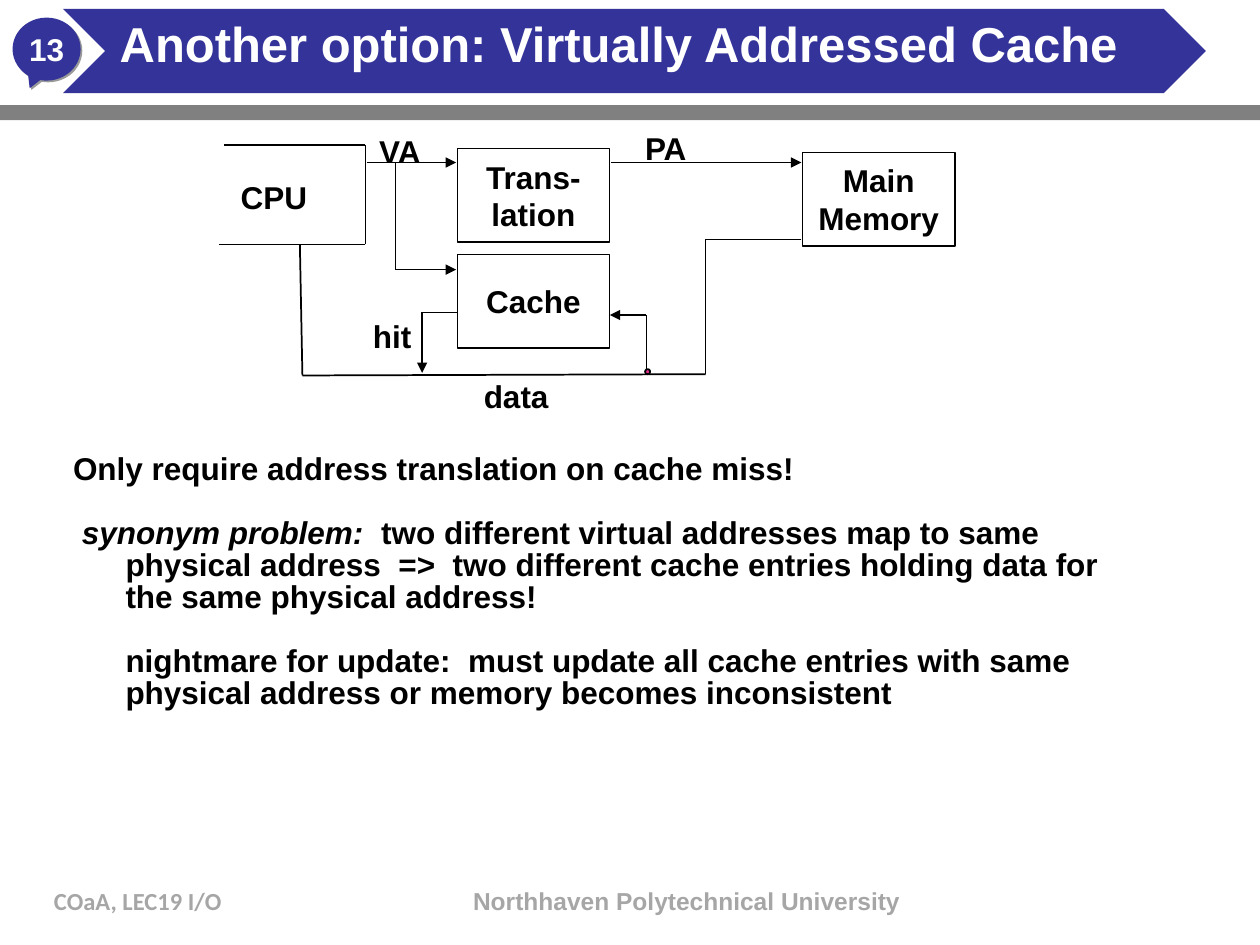
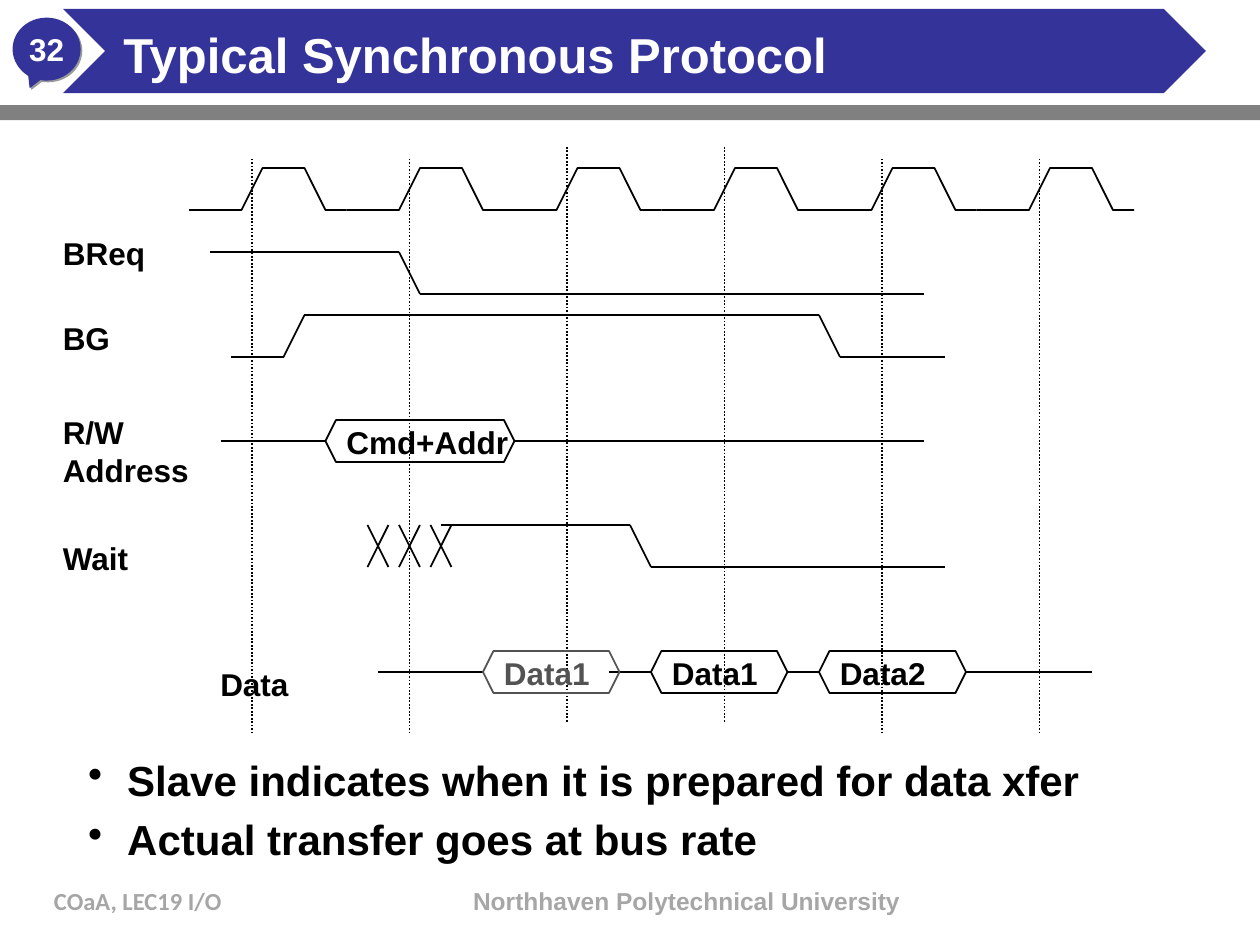
from itertools import pairwise

from lxml import etree
from pptx import Presentation
from pptx import util as u
from pptx.dml.color import RGBColor
from pptx.enum import dml, shapes, text
from pptx.oxml.ns import qn

COLUMNS, ROWS = 120, 90
CELL = u.Inches(10) // COLUMNS
BLUE, GREY, PALE, BLACK, WHITE = "333399", "808080", "A6A6A6", "000000", "FFFFFF"
SHADE, FADED, PINK = "999999", "535353", "E32D91"
LEFT, CENTER = text.PP_ALIGN.LEFT, text.PP_ALIGN.CENTER
TOP, MIDDLE = text.MSO_ANCHOR.TOP, text.MSO_ANCHOR.MIDDLE
KIND = shapes.MSO_SHAPE
color = RGBColor.from_string


def write(shape, place, lines, size=18, ink=BLACK, font="Arial", align=LEFT,
          anchor=TOP, margins=(1.2, 0.6), spacing=None, wrap=False):
    shape.left, shape.top, shape.width, shape.height = [round(n * CELL) for n in place]
    frame = shape.text_frame
    frame.auto_size = text.MSO_AUTO_SIZE.NONE
    frame.word_wrap = wrap
    frame.vertical_anchor = anchor
    frame.margin_left = frame.margin_right = round(margins[0] * CELL)
    frame.margin_top = frame.margin_bottom = round(margins[1] * CELL)
    frame.text = "\n".join(lines)
    for paragraph in frame.paragraphs:
        paragraph.alignment = align
        paragraph.line_spacing = spacing
        for run in paragraph.runs:
            run.font.name, run.font.size, run.font.bold = font, u.Pt(size), True
            run.font.color.rgb = color(ink)
    return frame.paragraphs


def connect(slide, points, arrow=False, dash=None):
    for start, end in pairwise(points):
        ends = [round(n * CELL) for n in (*start, *end)]
        connector = slide.shapes.add_connector(shapes.MSO_CONNECTOR.STRAIGHT, *ends)
        connector.line.color.rgb = color(BLACK)
        connector.line.width = u.Pt(1)
        if dash:
            connector.line.dash_style = dash
        properties = connector.element.spPr
        if arrow and end == points[-1]:
            etree.SubElement(properties.get_or_add_ln(), qn("a:tailEnd"), type="triangle")
        etree.SubElement(properties, qn("a:effectLst"))


presentation = Presentation()
presentation.slide_width = COLUMNS * CELL
presentation.slide_height = ROWS * CELL

bands = [
    (KIND.OVAL_CALLOUT, (1.2, 1.68, 6.48, 6), BLUE),
    (KIND.RECTANGLE, (0, 10, COLUMNS, 1.44), GREY),
    (KIND.CHEVRON, (6, 0.84, 108.84, 8.04), BLUE),
]
footers = [
    ("COaA, LEC19 I/O", 3.96, 24.96, "Calibri", LEFT),
    ("Northhaven Polytechnical University", 41.88, 47.04, "Arial", CENTER),
]
headings = [
    ("13", "Another option: Virtually Addressed Cache", (11.04, 2.04, 104.04, 4.8)),
    ("32", "Typical Synchronous Protocol", (11.4, 3.12, 81.6, 4.8)),
]
for number, heading, place in headings:
    slide = presentation.slides.add_slide(presentation.slide_layouts[5])
    for kind, band_place, fill in bands:
        band = slide.shapes.add_shape(kind, 0, 0, 0, 0)
        band.fill.solid()
        band.fill.fore_color.rgb = color(fill)
        band.line.fill.background()
        band.shadow.inherit = False
        callout = kind == KIND.OVAL_CALLOUT
        write(band, band_place, [number] if callout else [], ink=WHITE,
              align=CENTER, anchor=MIDDLE, margins=(0, 0))
        if callout:
            band.adjustments[0], band.adjustments[1] = -0.248, 0.622
            effects = band.element.spPr.find(qn("a:effectLst"))
            shadow = etree.SubElement(effects, qn("a:outerShdw"), dist=str(u.Pt(1.4)),
                                      dir="2700000", algn="ctr", rotWithShape="0")
            etree.SubElement(shadow, qn("a:srgbClr"), val=SHADE)
    for words, left, width, font, align in footers:
        write(slide.shapes.add_textbox(0, 0, 0, 0), (left, 83.76, width, 6), [words],
              size=14, ink=PALE, font=font, align=align, wrap=True)
    title = slide.shapes.title
    write(title, place, [heading], size=28, ink=WHITE, anchor=MIDDLE,
          margins=(0.36, 0.36), spacing=0.9, wrap=True)
    title.element.getparent().append(title.element)

cache_slide, protocol_slide = presentation.slides

notes = write(cache_slide.shapes.add_textbox(0, 0, 0, 0), (6.12, 42.96, 102, 31), [
    "Only require address translation on cache miss!",
    "synonym problem:",
    "nightmare for update:  must update all cache entries with same "
    "physical address or memory becomes inconsistent",
], margins=(0.84, 0.36), spacing=0.85, wrap=True)
lead = notes[1].runs[0]
lead.font.italic = True
detail = notes[1].add_run()
detail.text = ("  two different virtual addresses map to same physical address  =>  "
               "two different cache entries holding data for the same physical address!")
detail.font.name, detail.font.size, detail.font.bold = "Arial", u.Pt(18), True
detail.font.color.rgb = color(BLACK)
for paragraph, first_line in zip(notes[1:], (-4.15, 0)):
    paragraph.space_before = u.Pt(18)
    indents = paragraph._p.get_or_add_pPr()
    indents.set("marL", str(5 * CELL))
    indents.set("indent", str(round(first_line * CELL)))

for lines, left, top in [(["Trans-", "lation"], 43.56, 14.16), (["Cache"], 43.56, 24.24),
                         (["Main", "Memory"], 76.44, 14.52)]:
    unit = cache_slide.shapes.add_shape(KIND.RECTANGLE, 0, 0, 0, 0)
    unit.fill.background()
    unit.line.color.rgb = color(BLACK)
    unit.line.width = u.Pt(1)
    unit.shadow.inherit = False
    write(unit, (left, top, 14.5, 8.9), lines, align=CENTER, anchor=MIDDLE)

cpu_outline = [(21.36, 13.8), (34.8, 13.8), (34.8, 23.28), (20.88, 23.28)]
data_bus = [(76.32, 22.8), (67.2, 22.8), (67.2, 35.64), (28.8, 35.76), (28.56, 23.28)]
virtual_address = [(34.92, 15.48), (43.44, 15.48)]
cache_lookup = [(37.68, 15.48), (37.68, 25.68), (43.44, 25.68)]
physical_address = [(58.2, 15.48), (76.32, 15.48)]
cache_fill = [(61.56, 35.64), (61.56, 30), (58.08, 30)]
cache_hit = [(43.56, 29.76), (40.2, 29.76), (40.2, 35.52)]
for route in (cpu_outline, data_bus):
    connect(cache_slide, route)
for route in (virtual_address, cache_lookup, physical_address, cache_fill, cache_hit):
    connect(cache_slide, route, arrow=True)

junction = cache_slide.shapes.add_shape(
    KIND.OVAL, *[round(n * CELL) for n in (61.44, 35.16, 0.48, 0.48)])
junction.fill.solid()
junction.fill.fore_color.rgb = color(PINK)
junction.line.color.rgb = color(BLACK)
junction.line.width = u.Pt(1)
junction.shadow.inherit = False

for label, left, top, width in [("CPU", 22.08, 17.16, 8.16), ("VA", 35.28, 12.72, 6),
                                ("PA", 60.6, 12.48, 6), ("hit", 34.68, 30.36, 5.52),
                                ("data", 45.24, 36.12, 8.04)]:
    write(cache_slide.shapes.add_textbox(0, 0, 0, 0), (left, top, width, 3.84), [label],
          margins=(0.84, 0.36), spacing=0.85)

bullets = write(protocol_slide.shapes.add_textbox(0, 0, 0, 0), (8.04, 72, 102.96, 10.44), [
    "Slave indicates when it is prepared for data xfer",
    "Actual transfer goes at bus rate",
], size=24, margins=(0.36, 0.36), spacing=0.9, wrap=True)
for paragraph in bullets:
    paragraph.space_before = u.Pt(8)
    indents = paragraph._p.get_or_add_pPr()
    indents.set("marL", str(u.Inches(0.31)))
    indents.set("indent", str(-u.Inches(0.31)))
    etree.SubElement(indents, qn("a:buChar"), char="•")

for cycle in range(6):
    left = 18 + 15 * cycle
    pulse = [(left + x, y) for x, y in
             [(0, 20), (5, 20), (7, 16), (11, 16), (13, 20), (15, 20)]]
    builder = protocol_slide.shapes.build_freeform(*pulse[0], scale=CELL)
    builder.add_line_segments(pulse[1:], close=False)
    clock = builder.convert_to_shape()
    clock.fill.background()
    clock.line.color.rgb = color(BLACK)
    clock.line.width = u.Pt(1)
    clock.shadow.inherit = False
    top = 14 if cycle in (2, 3) else 15.12
    connect(protocol_slide, [(left + 6, top), (left + 6, top + 54.84)],
            dash=dml.MSO_LINE.ROUND_DOT)

signals = [
    [(20, 24), (38, 24), (40, 28), (88, 28)],
    [(22, 34), (27, 34), (29, 30), (78, 30), (80, 34), (90, 34)],
    [(42, 50), (60, 50), (62, 54), (90, 54)],
]
idle_spans = [(21, 31, 42), (49, 88, 42), (36, 46, 64), (58, 62, 64), (75, 78, 64), (92, 104, 64)]
signals += [[(start, row), (end, row)] for start, end, row in idle_spans]
for center in (36, 39, 42):
    signals += [[(center - 1, 50), (center + 1, 54)], [(center - 1, 54), (center + 1, 50)]]
for signal in signals:
    connect(protocol_slide, signal)

for label, start, end, row, ink in [("Cmd+Addr", 31, 49, 42, BLACK), ("Data1", 46, 59, 64, FADED),
                                    ("Data1", 62, 75, 64, BLACK), ("Data2", 78, 92, 64, BLACK)]:
    packet = protocol_slide.shapes.add_shape(
        KIND.HEXAGON, *[n * CELL for n in (start, row - 2, end - start, 4)])
    packet.adjustments[0] = 0.25
    packet.fill.background()
    packet.line.color.rgb = color(ink)
    packet.line.width = u.Pt(1)
    packet.shadow.inherit = False
    width = 17.76 if row == 42 else 10.56
    write(protocol_slide.shapes.add_textbox(0, 0, 0, 0),
          (start + 0.8, row - 2.3, width, 4.8), [label], ink=ink)

for lines, left, top, width in [(["BReq"], 4.8, 21.72, 10.2), (["BG"], 4.8, 29.76, 6.84),
                                (["R/W", "Address"], 4.8, 38.76, 14.4),
                                (["Wait"], 4.8, 50.76, 8.76), (["Data"], 19.8, 62.76, 8.88)]:
    write(protocol_slide.shapes.add_textbox(0, 0, 0, 0),
          (left, top, width, 1.2 + 3.6 * len(lines)), lines)

presentation.save("out.pptx")
